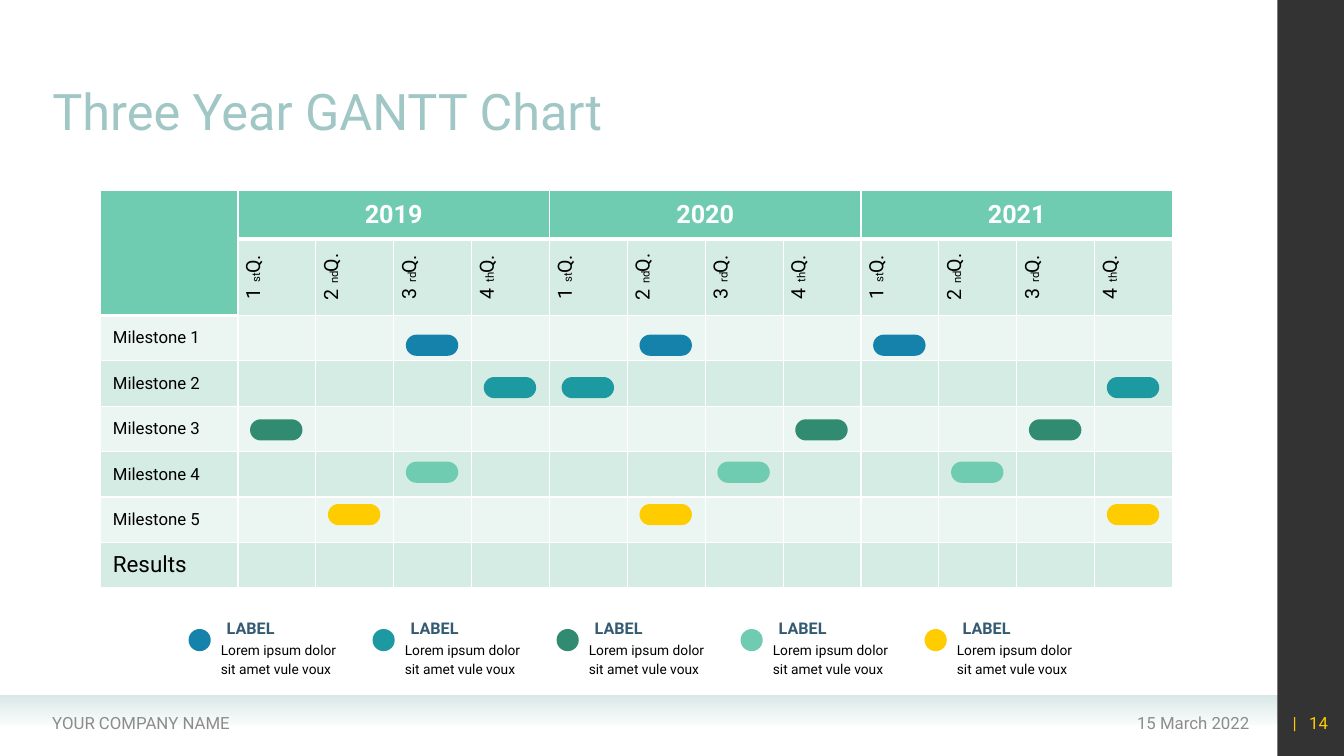
from lxml.etree import SubElement
from pptx import Presentation
from pptx.dml.color import RGBColor
from pptx.enum.shapes import MSO_SHAPE
from pptx.enum.text import MSO_ANCHOR, MSO_AUTO_SIZE, PP_ALIGN
from pptx.oxml.ns import qn
from pptx.util import Inches, Pt

FONT = "Roboto"
WHITE = RGBColor(0xFF, 0xFF, 0xFF)
BLACK = RGBColor(0, 0, 0)
GRAY = RGBColor(0x8C, 0x8C, 0x8C)
TITLE = RGBColor(0xA0, 0xC7, 0xC5)
NAVY = RGBColor(0x33, 0x5B, 0x74)
MIST = RGBColor(0xD9, 0xE9, 0xE8)
BLUE = RGBColor(0x14, 0x82, 0xAB)
TEAL = RGBColor(0x1D, 0x9A, 0xA1)
GREEN = RGBColor(0x31, 0x8B, 0x71)
MINT = RGBColor(0x70, 0xCC, 0xB1)
YELLOW = RGBColor(0xFF, 0xCC, 0x00)
PALE = RGBColor(0xD5, 0xEC, 0xE4)
PALER = RGBColor(0xEB, 0xF6, 0xF2)


def style(frame, size, color, bold=False, align=PP_ALIGN.LEFT):
    for para in frame.paragraphs:
        para.alignment = align
        for run in para.runs:
            run.font.name = FONT
            run.font.size = Pt(size)
            run.font.bold = bold
            run.font.color.rgb = color


def draw(kind, left, top, width, height, color):
    shape = slide.shapes.add_shape(
        kind, Inches(left), Inches(top), Inches(width), Inches(height))
    shape.shadow.inherit = False
    shape.line.fill.background()
    shape.fill.solid()
    shape.fill.fore_color.rgb = color
    return shape


prs = Presentation()
prs.slide_width, prs.slide_height = Inches(13.33), Inches(7.5)
slide = prs.slides.add_slide(prs.slide_layouts[5])

# Footer band and side bar
band = draw(MSO_SHAPE.RECTANGLE, 0, 6.9, 12.67, 0.31, MIST)
band.fill.gradient()
band.fill.gradient_angle = 270
for stop in band.fill.gradient_stops:
    stop.color.rgb = MIST
fade = list(band._element.iter(qn("a:srgbClr")))[-1]
SubElement(fade, qn("a:alpha"), val="0")

side = draw(MSO_SHAPE.RECTANGLE, 12.67, 0, 0.66, 7.5, BLACK)
tint = next(side._element.iter(qn("a:srgbClr")))
SubElement(tint, qn("a:alpha"), val="80000")

for left, width, text, color, align in (
        (9.1, 3.39, "15 March 2022", GRAY, PP_ALIGN.RIGHT),
        (0.42, 4.9, "YOUR COMPANY NAME", GRAY, PP_ALIGN.LEFT),
        (12.6, 0.67, "|   14", YELLOW, PP_ALIGN.RIGHT)):
    box = slide.shapes.add_textbox(
        Inches(left), Inches(6.97), Inches(width), Inches(0.4))
    frame = box.text_frame
    frame.word_wrap = True
    frame.vertical_anchor = MSO_ANCHOR.MIDDLE
    frame.text = text
    style(frame, 12, color, align=align)

# Title
title = slide.shapes.title
title.left, title.top = Inches(0.42), Inches(0.2)
title.width, title.height = Inches(11.21), Inches(1.25)
frame = title.text_frame
frame.text = "Three Year GANTT Chart"
frame.auto_size = MSO_AUTO_SIZE.NONE
frame.vertical_anchor = MSO_ANCHOR.BOTTOM
frame.paragraphs[0].line_spacing = 0.9
style(frame, 36, TITLE)

# Table grid
QUARTER = (10.63 - 1.36) / 12
widths = [1.36] + [QUARTER] * 12
heights = [0.48, 0.76] + [0.45] * 6
table = slide.shapes.add_table(
    len(heights), len(widths), Inches(1), Inches(1.89),
    Inches(10.63), Inches(sum(heights))).table
table.first_row = table.horz_banding = False
for column, width in zip(table.columns, widths):
    column.width = Inches(width)
for row, height in zip(table.rows, heights):
    row.height = Inches(height)

for r in range(len(heights)):
    for c in range(len(widths)):
        cell = table.cell(r, c)
        head = r == 0 or (r, c) == (1, 0)
        under = r == 1 or (r, c) == (2, 0)
        props = cell._tc.get_or_add_tcPr()
        for edge, thick in (("L", 1), ("R", 1),
                            ("T", 3 if under else 1), ("B", 3 if head else 1)):
            line = SubElement(props, qn(f"a:ln{edge}"), w=str(Pt(thick)))
            fill = SubElement(line, qn("a:solidFill"))
            SubElement(fill, qn("a:srgbClr"), val=str(WHITE))
        cell.fill.solid()
        cell.fill.fore_color.rgb = MINT if head else PALE if r % 2 else PALER
        cell.vertical_anchor = MSO_ANCHOR.MIDDLE
        cell.margin_left = cell.margin_right = Inches(0.12)
        cell.margin_top = cell.margin_bottom = Inches(0.04)
for cell in table.rows[7].cells:
    cell.fill.fore_color.rgb = PALE

# Table text
table.cell(0, 0).merge(table.cell(1, 0))
for i, year in enumerate(("2019", "2020", "2021")):
    first = 1 + 4 * i
    cell = table.cell(0, first)
    cell.merge(table.cell(0, first + 3))
    cell.text_frame.text = year
    style(cell.text_frame, 18, WHITE, True, PP_ALIGN.CENTER)

for c in range(12):
    cell = table.cell(1, c + 1)
    cell._tc.tcPr.set("vert", "vert270")
    para = cell.text_frame.paragraphs[0]
    suffix = ("st", "nd", "rd", "th")[c % 4]
    for text in (str(c % 4 + 1), suffix, " Q."):
        run = para.add_run()
        run.text = text
        if text == suffix:
            run._r.get_or_add_rPr().set("baseline", "30000")
    style(cell.text_frame, 14, BLACK, align=PP_ALIGN.CENTER)

names = [f"Milestone {n}" for n in range(1, 6)] + ["Results"]
for r, name in enumerate(names, 2):
    frame = table.cell(r, 0).text_frame
    frame.text = name
    style(frame, 16 if name == "Results" else 12, BLACK)

# Bars: the quarters, counted from 0, in which each milestone falls
bars = ((BLUE, (2, 5, 8)), (TEAL, (3, 4, 11)), (GREEN, (0, 7, 10)),
        (MINT, (2, 6, 9)), (YELLOW, (1, 5, 11)))
for i, (color, spots) in enumerate(bars):
    for spot in spots:
        bar = draw(MSO_SHAPE.ROUNDED_RECTANGLE, 2.48 + QUARTER * spot,
                   3.32 + 0.42 * i, 0.52, 0.21, color)
        bar.adjustments[0] = 0.5

# Legend
STEP = 7.3 / 4
for i, (color, spots) in enumerate(bars):
    left = 1.87 + STEP * i
    draw(MSO_SHAPE.OVAL, left, 6.24, 0.22, 0.22, color)

    label = slide.shapes.add_textbox(
        Inches(left + 0.28), Inches(6.09), Inches(0.69), Inches(0.29))
    frame = label.text_frame
    frame.text = "LABEL"
    frame.word_wrap = False
    frame.auto_size = MSO_AUTO_SIZE.SHAPE_TO_FIT_TEXT
    frame.vertical_anchor = MSO_ANCHOR.MIDDLE
    style(frame, 11.5, NAVY, True)

    note = slide.shapes.add_textbox(
        Inches(left + 0.28), Inches(6.33), Inches(1.3), Inches(0.39))
    frame = note.text_frame
    frame.text = "Lorem ipsum dolor sit amet vule voux"
    frame.word_wrap = True
    frame.auto_size = MSO_AUTO_SIZE.SHAPE_TO_FIT_TEXT
    frame.margin_left = frame.margin_right = Inches(0.04)
    frame.margin_top = frame.margin_bottom = Inches(0.02)
    frame.paragraphs[0].line_spacing = Pt(13.3)
    style(frame, 9.8, BLACK)

prs.save("out.pptx")
